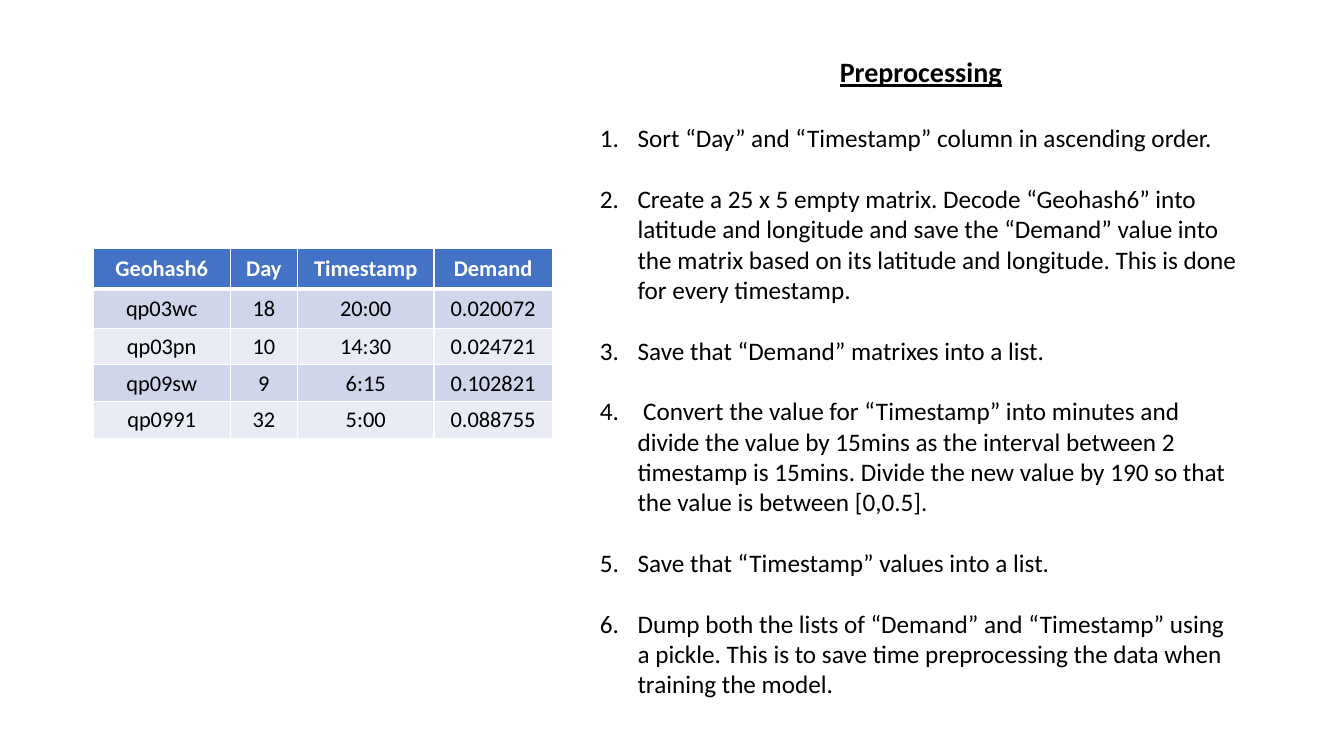
from dataclasses import dataclass

from lxml import etree
from pptx import Presentation
from pptx.dml.color import RGBColor
from pptx.enum.text import MSO_ANCHOR, MSO_AUTO_SIZE, PP_ALIGN
from pptx.oxml.ns import qn
from pptx.util import Pt

CENTER = PP_ALIGN.CENTER
LEFT = PP_ALIGN.LEFT
TOP = MSO_ANCHOR.TOP
MIDDLE = MSO_ANCHOR.MIDDLE
NO_AUTOFIT = MSO_AUTO_SIZE.NONE


@dataclass(frozen=True)
class Theme:
    font: str = "Calibri"
    text: str = "000000"
    white: str = "FFFFFF"
    header: str = "4472C4"
    odd_row: str = "CFD5EA"
    even_row: str = "E9EBF5"
    title_size: int = 20
    body_size: int = 18
    table_size: int = 16


THEME = Theme()

HEADING = "Preprocessing"
STEPS = [
    "Sort “Day” and “Timestamp” column in ascending order.",
    "Create a 25 x 5 empty matrix. Decode “Geohash6” into latitude and longitude "
    "and save the “Demand” value into the matrix based on its latitude and "
    "longitude. This is done for every timestamp.",
    "Save that “Demand” matrixes into a list.",
    " Convert the value for “Timestamp” into minutes and divide the value by "
    "15mins as the interval between 2 timestamp is 15mins. Divide the new value "
    "by 190 so that the value is between [0,0.5].",
    "Save that “Timestamp” values into a list.",
    "Dump both the lists of “Demand” and “Timestamp” using a pickle. This is to "
    "save time preprocessing the data when training the model.",
]
DEMAND_ROWS = [
    ("Geohash6", "Day", "Timestamp", "Demand"),
    ("qp03wc", "18", "20:00", "0.020072"),
    ("qp03pn", "10", "14:30", "0.024721"),
    ("qp09sw", "9", "6:15", "0.102821"),
    ("qp0991", "32", "5:00", "0.088755"),
]
COLUMN_WIDTHS = [98, 48, 97.5, 84.5]
ROW_HEIGHTS = [29.2, 28, 26.2, 26.2, 26.2]


def style_paragraph(paragraph, size, color, alignment, bold=False, underline=False):
    paragraph.alignment = alignment
    font = paragraph.font
    font.name = THEME.font
    font.size = Pt(size)
    font.color.rgb = RGBColor.from_string(color)
    font.bold = bold
    font.underline = underline


def place(shape, left, top, width, height):
    shape.left, shape.top = Pt(left), Pt(top)
    shape.width, shape.height = Pt(width), Pt(height)


def prepare_frame(shape):
    frame = shape.text_frame
    frame.word_wrap = True
    frame.auto_size = NO_AUTOFIT
    frame.vertical_anchor = TOP
    return frame


def number_paragraph(paragraph, indent):
    properties = paragraph._p.get_or_add_pPr()
    properties.set("marL", str(Pt(indent)))
    properties.set("indent", str(-Pt(indent)))
    bullet_font = etree.SubElement(properties, qn("a:buFont"))
    bullet_font.set("typeface", "+mj-lt")
    numbering = etree.SubElement(properties, qn("a:buAutoNum"))
    numbering.set("type", "arabicPeriod")


def add_heading(slide, text):
    title = slide.shapes.title
    place(title, 421.2, 35.3, 473, 32)
    frame = prepare_frame(title)
    frame.text = text
    style_paragraph(frame.paragraphs[0], THEME.title_size, THEME.text, CENTER,
                    bold=True, underline=True)


def add_steps(slide, steps):
    body = slide.placeholders[1]
    place(body, 421.2, 84.1, 473, 421.3)
    frame = prepare_frame(body)
    frame.text = "\n".join(steps)
    for paragraph in frame.paragraphs:
        style_paragraph(paragraph, THEME.body_size, THEME.text, LEFT)
        paragraph.space_before = Pt(0)
        paragraph.space_after = Pt(21.8)
        number_paragraph(paragraph, 27)


def set_borders(cell, bottom_width):
    properties = cell._tc.get_or_add_tcPr()
    widths = {"a:lnL": 1, "a:lnR": 1, "a:lnT": 1, "a:lnB": bottom_width}
    for position, (tag, width) in enumerate(widths.items()):
        line = etree.Element(qn(tag), w=str(Pt(width)))
        fill = etree.SubElement(line, qn("a:solidFill"))
        etree.SubElement(fill, qn("a:srgbClr"), val=THEME.white)
        properties.insert(position, line)


def fill_cell(cell, text, row_index):
    is_header = row_index == 0
    cell.text = text
    cell.vertical_anchor = MIDDLE
    if is_header:
        background, color = THEME.header, THEME.white
    else:
        background = THEME.odd_row if row_index % 2 else THEME.even_row
        color = THEME.text
        cell.margin_left = cell.margin_right = cell.margin_top = Pt(0.7)
        cell.margin_bottom = Pt(0)
    cell.fill.solid()
    cell.fill.fore_color.rgb = RGBColor.from_string(background)
    style_paragraph(cell.text_frame.paragraphs[0], THEME.table_size, color, CENTER,
                    bold=is_header)
    set_borders(cell, 3 if is_header else 1)


def add_demand_table(slide, rows):
    table = slide.shapes.add_table(
        len(rows), len(COLUMN_WIDTHS), Pt(66.5), Pt(177.2),
        Pt(sum(COLUMN_WIDTHS)), Pt(sum(ROW_HEIGHTS))).table
    for column, width in zip(table.columns, COLUMN_WIDTHS):
        column.width = Pt(width)
    for row_index, (row, height) in enumerate(zip(rows, ROW_HEIGHTS)):
        table.rows[row_index].height = Pt(height)
        for column_index, text in enumerate(row):
            fill_cell(table.cell(row_index, column_index), text, row_index)


def main():
    presentation = Presentation()
    presentation.slide_width = Pt(960)
    presentation.slide_height = Pt(540)
    slide = presentation.slides.add_slide(presentation.slide_layouts[1])
    add_demand_table(slide, DEMAND_ROWS)
    add_heading(slide, HEADING)
    add_steps(slide, STEPS)
    presentation.save("out.pptx")


main()
